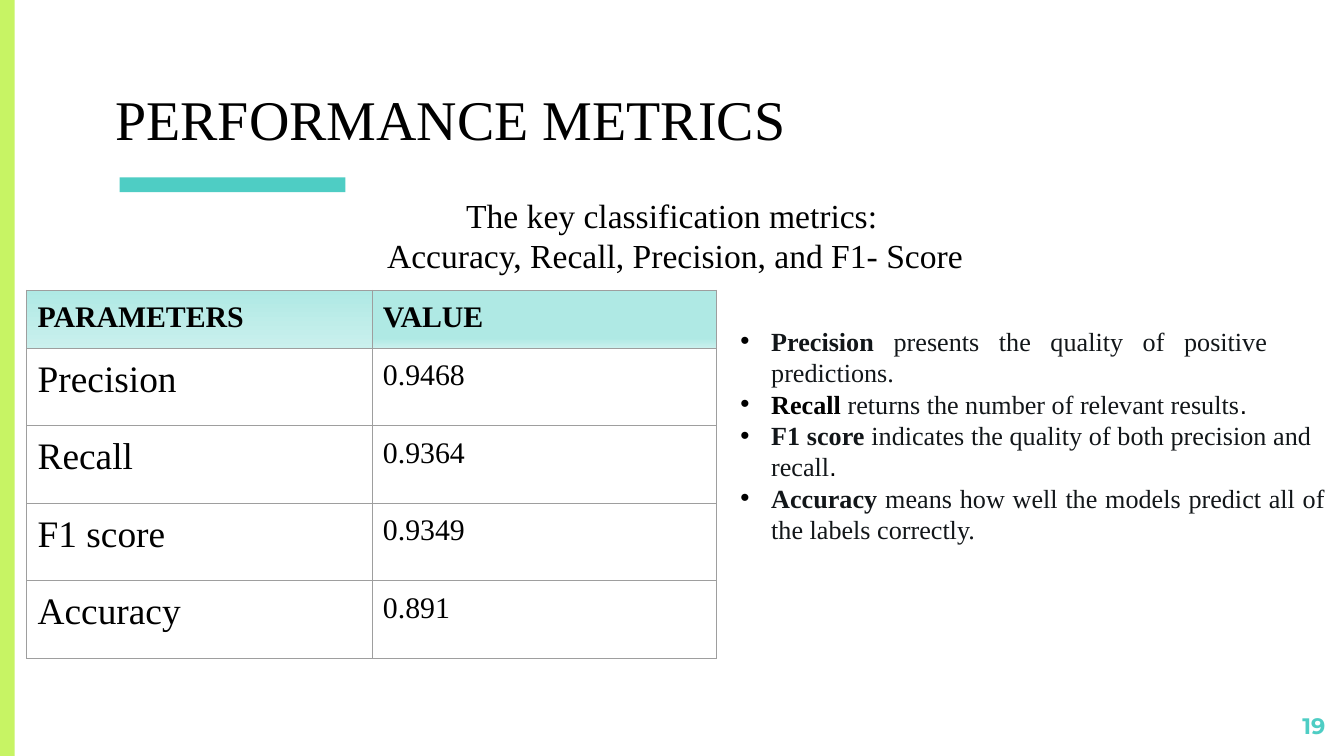
from lxml import etree
from pptx import Presentation, util as u
from pptx.dml.color import RGBColor
from pptx.enum import shapes, text
from pptx.oxml import ns

BLACK = RGBColor(0, 0, 0)
INK = RGBColor(0x12, 0x16, 0x19)
TEAL = RGBColor(0x4E, 0xCD, 0xC4)
LIME = RGBColor(0xC7, 0xF4, 0x64)
AQUA = RGBColor(0xAF, 0xE9, 0xE4)
PALE = RGBColor(0xCA, 0xF0, 0xED)
GRAY = RGBColor(0x9E, 0x9E, 0x9E)
WHITE = RGBColor(255, 255, 255)
SERIF = "Times New Roman"
ALIGN = text.PP_ALIGN
WIDE = 10
HIGH = WIDE * 9 / 16


def add_tag(root, tag, **attrs):
    return etree.SubElement(root, ns.qn(tag), attrs)


def write(para, words, size=16, color=BLACK, bold=False, font=SERIF,
          align=ALIGN.LEFT):
    para.alignment = align
    run = para.add_run()
    run.text = words
    run.font.name = font
    run.font.size = u.Pt(size)
    run.font.bold = bold
    run.font.color.rgb = color


class Deck:
    def __init__(self):
        self.file = Presentation()
        self.file.slide_width = u.Inches(WIDE)
        self.file.slide_height = u.Inches(HIGH)
        self.slide = self.file.slides.add_slide(self.file.slide_layouts[6])
        fill = self.slide.background.fill
        fill.solid()
        fill.fore_color.rgb = WHITE

    def bar(self, box, color):
        bar = self.slide.shapes.add_shape(
            shapes.MSO_SHAPE.RECTANGLE, *map(u.Inches, box))
        bar.shadow.inherit = False
        bar.fill.solid()
        bar.fill.fore_color.rgb = color
        bar.line.fill.background()

    def frame(self, box, pad=0.05, anchor=text.MSO_ANCHOR.TOP):
        frame = self.slide.shapes.add_textbox(*map(u.Inches, box)).text_frame
        frame.word_wrap = True
        frame.vertical_anchor = anchor
        frame.margin_left = frame.margin_right = u.Inches(0.1)
        frame.margin_top = frame.margin_bottom = u.Inches(pad)
        return frame

    def lines(self, box, lines, pad=0.05, anchor=text.MSO_ANCHOR.TOP, **style):
        frame = self.frame(box, pad, anchor)
        for i, line in enumerate(lines):
            para = frame.add_paragraph() if i else frame.paragraphs[0]
            write(para, line, **style)

    def points(self, box, points):
        frame = self.frame(box)
        for i, (inset, runs) in enumerate(points):
            para = frame.add_paragraph() if i else frame.paragraphs[0]
            for words, style in runs:
                write(para, words, size=14, align=ALIGN.JUSTIFY, **style)
            props = para._p.get_or_add_pPr()
            props.set("marL", str(u.Inches(0.23)))
            props.set("marR", str(u.Inches(inset)))
            props.set("indent", str(-u.Inches(0.23)))
            add_tag(add_tag(props, "a:buClr"), "a:srgbClr", val=str(BLACK))
            add_tag(props, "a:buFont", typeface="Arial")
            add_tag(props, "a:buChar", char="•")

    def border(self, cell):
        props = cell._tc.get_or_add_tcPr()
        for side in "LRTB":
            line = add_tag(props, f"a:ln{side}", w=str(u.Pt(0.6)))
            add_tag(add_tag(line, "a:solidFill"), "a:srgbClr", val=str(GRAY))

    def table(self, box, rows, widths, heights, starts):
        grid = self.slide.shapes.add_table(
            len(rows), len(widths), *map(u.Inches, box)).table
        for col, width in zip(grid.columns, widths):
            col.width = u.Inches(width)
        for r, row in enumerate(rows):
            grid.rows[r].height = u.Inches(heights[r])
            for c, words in enumerate(row):
                cell = grid.cell(r, c)
                cell.margin_left = cell.margin_right = u.Inches(0.08)
                cell.margin_top = cell.margin_bottom = u.Inches(0.08)
                self.border(cell)
                if r == 0:
                    cell.fill.gradient()
                    cell.fill.gradient_angle = 270
                    first, last = cell.fill.gradient_stops
                    first.color.rgb, last.color.rgb = AQUA, PALE
                    first.position, last.position = starts[c], 1
                else:
                    cell.fill.background()
                write(cell.text_frame.paragraphs[0], words, bold=r == 0,
                      size=20 if r and c == 0 else 16)


def main():
    deck = Deck()
    deck.bar((0.89, 1.32, 1.68, 0.11), TEAL)
    deck.bar((0, 0, 0.11, HIGH), LIME)
    deck.lines((0.76, 0.17, 8.49, 1.06), ["PERFORMANCE METRICS"], pad=0.1,
               anchor=text.MSO_ANCHOR.BOTTOM, size=30)
    deck.lines((9.36, 5.2, 0.6, 0.34), ["19"], pad=0.1, size=12, color=TEAL,
               bold=True, font="Montserrat", align=ALIGN.RIGHT)
    rows = [("PARAMETERS", "VALUE"), ("Precision", "0.9468"),
            ("Recall", "0.9364"), ("F1 score", "0.9349"),
            ("Accuracy", "0.891")]
    head, tall = 0.43, 2.74
    deck.table((0.2, 2.16, 5.13, tall), rows, (2.57, 2.56),
               [head] + [(tall - head) / 4] * 4, (0, 0.83))
    deck.lines((2.5, 1.4, 5, 0.71),
               ["The key classification metrics:",
                " Accuracy, Recall, Precision, and F1- Score"],
               size=18, align=ALIGN.CENTER)
    plain = dict(color=INK)
    strong = dict(color=INK, bold=True)
    stop = (".", dict(font="Arial"))
    deck.points((5.41, 2.37, 4.55, 2.22), [
        (0.43, [("Precision", strong),
                (" presents the quality of positive predictions.", plain)]),
        (0, [("Recall ", dict(bold=True)),
             ("returns the number of relevant results", plain), stop]),
        (0.1, [("F1 score", strong),
               (" indicates the quality of both precision and recall", plain),
               stop]),
        (0, [("Accuracy", strong),
             (" means how well the models predict all of the labels correctly.",
              plain)]),
    ])
    deck.file.save("out.pptx")


if __name__ == "__main__":
    main()
